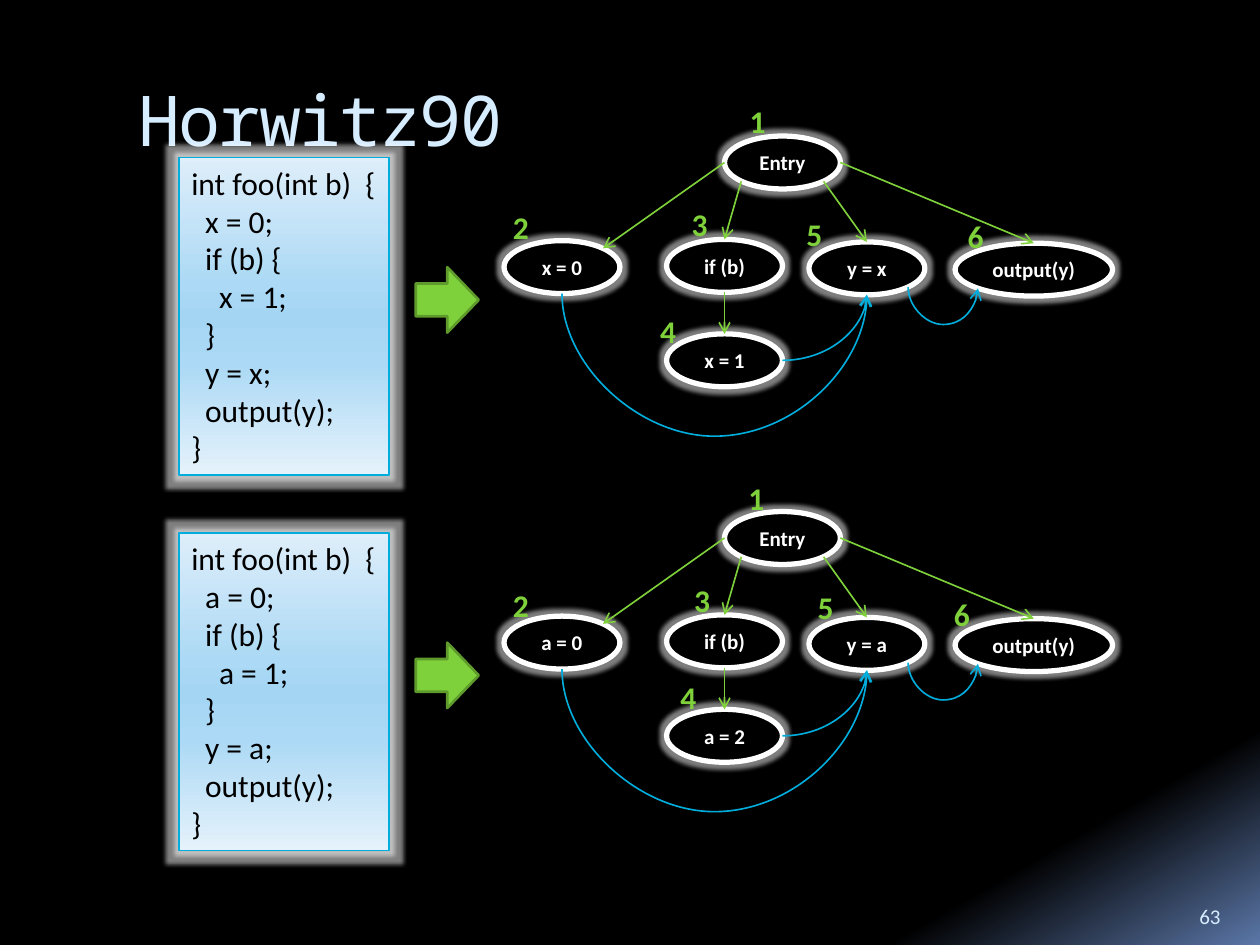
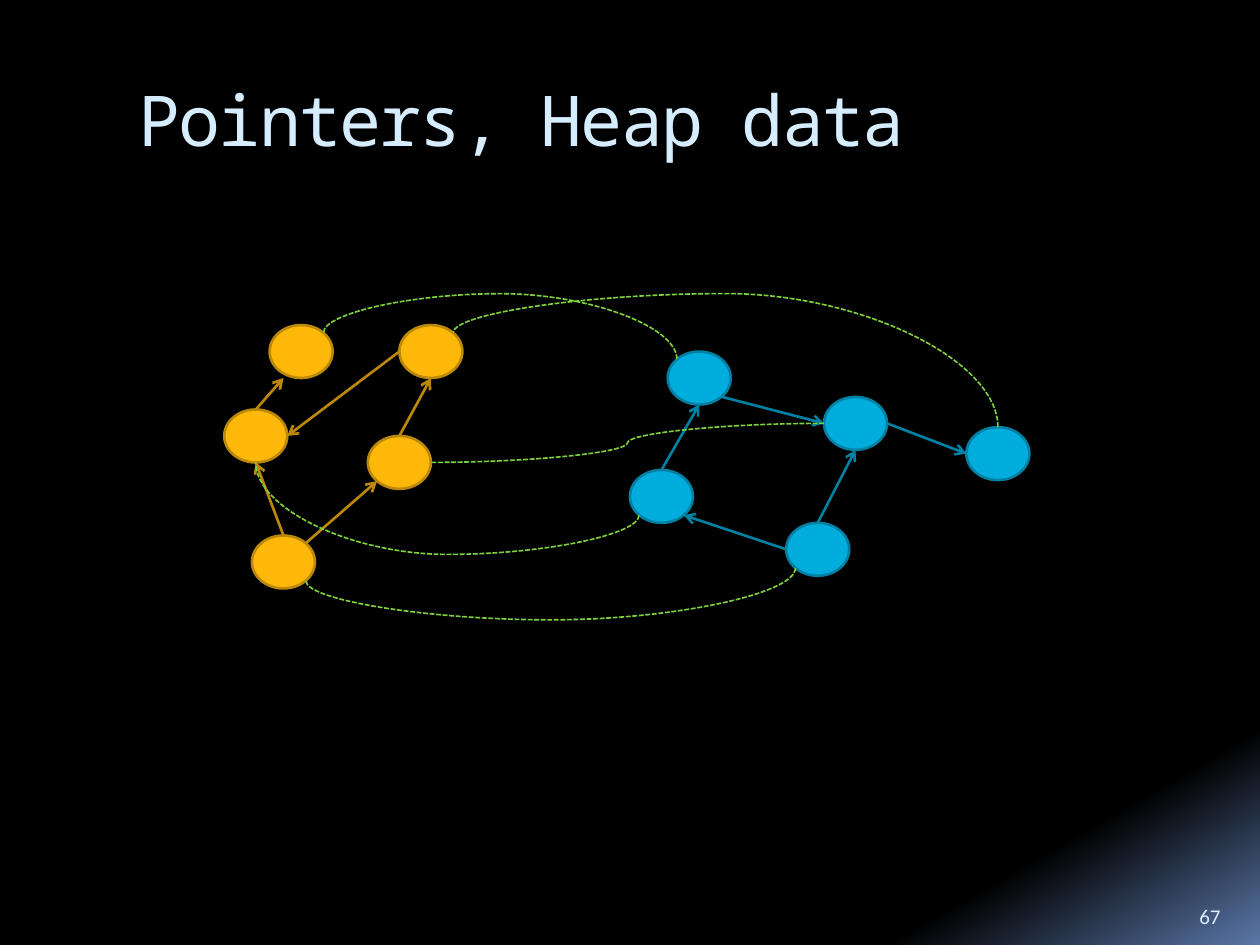
from lxml.etree import SubElement
from pptx import Presentation
from pptx.dml.color import RGBColor
from pptx.enum.dml import MSO_LINE
from pptx.enum.shapes import MSO_CONNECTOR, MSO_SHAPE
from pptx.enum.text import MSO_ANCHOR, PP_ALIGN
from pptx.oxml.ns import qn
from pptx.util import Inches, Pt

# ---------- Shared style ----------
COLORS = {
    "black": "000000", "white": "FFFFFF", "title": "D6ECFF",
    "green": "7FD13B", "dark green": "5E9B2C",
    "blue": "00ADDC", "dark blue": "0080A3",
    "orange": "FEB80A", "dark orange": "BC8807",
}
BODY_FONT, TITLE_FONT = "Calibri", "Noto Sans Mono"
BACKGROUND_STOPS = [(65, "000000"), (87, "000000"), (100, "5B77A8")]
CODE_STOPS = [(0, "DEEEFA"), (40, "ACD9F5"), (50, "A4D6F4"), (65, "ACD9F5"), (100, "E5F2FB")]
THIN, MEDIUM, THICK = 0.94, 1.5, 3

# Points on an ellipse, as shares of its half width and half height
ANCHORS = {
    "n": (0, -1), "s": (0, 1), "w": (-1, 0), "e": (1, 0),
    "nw": (-0.71, -0.71), "ne": (0.71, -0.71),
    "sw": (-0.71, 0.71), "se": (0.71, 0.71), "ssw": (-0.56, 1),
}

# ---------- Slide 1: two programs and their dependence graphs ----------
PROGRAM_PITCH = 2.98
PROGRAMS = [
    {
        "variable": "x", "node value": "1",
        "numbers": [(5.88, 0.76), (4, 1.6), (5.42, 1.58), (5.17, 2.43), (6.33, 1.66), (7.61, 1.67)],
    },
    {
        "variable": "a", "node value": "2",
        "numbers": [(5.87, 3.75), (4, 4.6), (5.44, 4.56), (5.33, 5.33), (6.42, 4.62), (7.5, 4.67)],
    },
]
CODE = [  # (indent level, text)
    (0, "int foo(int b)  {"), (1, "{v} = 0;"), (1, "if (b) {"), (2, "{v} = 1;"),
    (1, "}"), (1, "y = {v};"), (1, "output(y);"), (0, "}"),
]
STATEMENTS = {  # name: (text, left, top, width)
    "entry": ("Entry", 5.75, 1.08, 0.92),
    "first": ("{v} = 0", 4, 1.91, 0.92),
    "test": ("if (b)", 5.29, 1.9, 0.92),
    "copy": ("y = {v}", 6.42, 1.92, 0.92),
    "output": ("output(y)", 7.58, 1.93, 1.25),
    "second": ("{v} = {n}", 5.29, 2.65, 0.92),
}
CONTROL_EDGES = [
    ("entry", "w", "first", "ne"), ("entry", "sw", "test", "n"),
    ("entry", "se", "copy", "n"), ("entry", "e", "output", "n"),
    ("test", "s", "second", "n"),
]
DATA_EDGES = [  # last item: height of the turning point, None for a quarter turn
    ("first", "s", "copy", "s", 3.48),
    ("second", "e", "copy", "s", None),
    ("copy", "se", "output", "sw", 2.58),
]

# ---------- Slide 2: two heaps and the matching between them ----------
HEAPS = [
    {
        "color": "orange",
        "cells": {"root": (2, 4.25), "left": (1.78, 3.25), "middle": (2.92, 3.46),
                  "upper right": (3.17, 2.58), "upper left": (2.14, 2.58)},
        "pointers": [("root", "n", "left", "s"), ("root", "ne", "middle", "sw"),
                     ("middle", "n", "upper right", "s"), ("upper right", "w", "left", "e"),
                     ("left", "n", "upper left", "ssw")],
    },
    {
        "color": "blue",
        "cells": {"base": (6.24, 4.15), "hub": (6.54, 3.15), "low": (5, 3.73),
                  "high": (5.3, 2.79), "far": (7.67, 3.39)},
        "pointers": [("base", "n", "hub", "s"), ("base", "w", "low", "se"),
                     ("low", "n", "high", "s"), ("high", "se", "hub", "w"),
                     ("hub", "e", "far", "w")],
    },
]
MATCHES = [  # last item: height of the turning point, None for an S curve
    ("low", "sw", "left", "s", 4.4), ("hub", "w", "middle", "e", None),
    ("far", "n", "upper right", "ne", 2.33), ("upper left", "ne", "high", "nw", 2.33),
    ("base", "sw", "root", "se", 4.92),
]
CELL_WIDTH, NODE_HEIGHT = 0.5, 0.42


# ---------- Drawing helpers ----------
def rgb(name):
    return RGBColor.from_string(COLORS[name])


def set_gradient(fill, owner, stops, angle):
    fill.gradient()
    fill.gradient_angle = 360 - angle
    stop_list = owner.element.find(".//" + qn("a:gsLst"))
    for stop in list(stop_list):
        stop_list.remove(stop)
    for position, color in stops:
        stop = SubElement(stop_list, qn("a:gs"), pos=str(position * 1000))
        SubElement(stop, qn("a:srgbClr"), val=color)


def add_glow(shape, radius):
    effects = shape.element.spPr.find(qn("a:effectLst"))
    glow = SubElement(effects, qn("a:glow"), rad=str(Pt(radius)))
    color = SubElement(glow, qn("a:srgbClr"), val=COLORS["white"])
    SubElement(color, qn("a:alpha"), val="50000")


def format_text(paragraph, size, color, font=BODY_FONT, bold=False):
    for run in paragraph.runs:
        run.font.size, run.font.name, run.font.bold = Pt(size), font, bold
        run.font.color.rgb = rgb(color)


def add_text(slide, text, box, size, color, font=BODY_FONT, bold=False):
    shape = slide.shapes.add_textbox(*map(Inches, box))
    text_frame = shape.text_frame
    text_frame.word_wrap = True
    text_frame.text = text
    format_text(text_frame.paragraphs[0], size, color, font, bold)
    return text_frame


def add_shape(slide, kind, box, fill, line, width):
    shape = slide.shapes.add_shape(kind, *map(Inches, box))
    shape.shadow.inherit = False
    if fill:
        shape.fill.solid()
        shape.fill.fore_color.rgb = rgb(fill)
    shape.line.color.rgb = rgb(line)
    shape.line.width = Pt(width)
    return shape


def anchor_point(box, side):
    left, top, width, height = box
    across, down = ANCHORS[side]
    return left + width / 2 * (1 + across), top + height / 2 * (1 + down)


def add_edge(slide, boxes, edge, color, width, kind=MSO_CONNECTOR.STRAIGHT, arrow=True):
    source, source_side, target, target_side = edge
    start = anchor_point(boxes[source], source_side)
    end = anchor_point(boxes[target], target_side)
    connector = slide.shapes.add_connector(kind, *map(Inches, start + end))
    connector.line.color.rgb = rgb(color)
    connector.line.width = Pt(width)
    if arrow:
        SubElement(connector.get_or_add_ln(), qn("a:tailEnd"), type="arrow")
    SubElement(connector.element.spPr, qn("a:effectLst"))
    return connector, start, end


def bend(connector, start, end, turn_y):
    """Turn a curved connector on its side so that it swings through turn_y."""
    (x1, y1), (x2, y2) = start, end
    across, down = x2 - x1, y2 - y1
    upward = across > 0 or turn_y < y1
    connector.left = Inches((x1 + x2 - abs(down)) / 2)
    connector.top = Inches((y1 + y2 - abs(across)) / 2)
    connector.width, connector.height = Inches(abs(down)), Inches(abs(across))
    frame = connector.element.spPr.find(qn("a:xfrm"))
    frame.set("rot", str((270 if upward else 90) * 60000))
    frame.set("flipH", str(int((down > 0) == upward)))
    frame.set("flipV", str(int((across < 0) == upward)))
    geometry = connector.element.spPr.find(qn("a:prstGeom"))
    adjustments = geometry.find(qn("a:avLst"))
    share = round((turn_y - y1) / down * 100000)
    SubElement(adjustments, qn("a:gd"), name="adj1", fmla=f"val {share}")


def start_slide(presentation, title, number):
    slide = presentation.slides.add_slide(presentation.slide_layouts[6])
    heading = add_text(slide, title, (1, 0.56, 8.5, 1), 40, "title", TITLE_FONT)
    heading.paragraphs[0].runs[0]._r.get_or_add_rPr().set("spc", "-100")
    footer = add_text(slide, number, (9.42, 7.02, 0.5, 0.4), 12, "title")
    footer.vertical_anchor = MSO_ANCHOR.BOTTOM
    return slide


# ---------- Slide parts ----------
def fill_in(text, program):
    return text.replace("{v}", program["variable"]).replace("{n}", program["node value"])


def add_code(slide, program, offset):
    shape = add_shape(slide, MSO_SHAPE.RECTANGLE, (1.42, 1.25 + offset, 1.67, 2.52), None, "blue", THIN)
    set_gradient(shape.fill, shape, CODE_STOPS, 90)
    add_glow(shape, 5)
    text_frame = shape.text_frame
    text_frame.word_wrap = True
    text_frame.margin_right = 0
    text_frame.vertical_anchor = MSO_ANCHOR.TOP
    text_frame.text = "\n".join(fill_in(text, program) for _, text in CODE)
    for paragraph, (level, _) in zip(text_frame.paragraphs, CODE):
        paragraph.alignment = PP_ALIGN.LEFT
        paragraph._p.get_or_add_pPr().set("marL", str(Inches(0.11 * level)))
        format_text(paragraph, 18, "black")


def add_graph(slide, program, offset):
    boxes = {}
    for name, (text, left, top, width) in STATEMENTS.items():
        boxes[name] = (left, top + offset, width, NODE_HEIGHT)
        node = add_shape(slide, MSO_SHAPE.OVAL, boxes[name], "black", "white", THICK)
        add_glow(node, 5)
        text_frame = node.text_frame
        text_frame.margin_left = text_frame.margin_right = 0
        text_frame.vertical_anchor = MSO_ANCHOR.MIDDLE
        text_frame.text = fill_in(text, program)
        text_frame.paragraphs[0].alignment = PP_ALIGN.CENTER
        format_text(text_frame.paragraphs[0], 12, "white", bold=True)
    for edge in CONTROL_EDGES:
        add_edge(slide, boxes, edge, "green", THIN)
    for *edge, turn_y in DATA_EDGES:
        connector, start, end = add_edge(slide, boxes, edge, "blue", THIN, MSO_CONNECTOR.CURVE)
        if turn_y is None:
            connector.element.spPr.find(qn("a:prstGeom")).set("prst", "curvedConnector2")
        else:
            bend(connector, start, end, turn_y + offset)
    add_shape(slide, MSO_SHAPE.RIGHT_ARROW, (3.3, 2.12 + offset, 0.5, 0.52), "green", "dark green", MEDIUM)


def add_numbers(slide, positions):
    for number, (left, top) in enumerate(positions, start=1):
        text_frame = add_text(slide, str(number), (left, top, 0.17, 0.4), 18, "green", bold=True)
        text_frame.word_wrap = False
        text_frame.margin_left, text_frame.margin_right = Inches(0.07), 0
        text_frame.paragraphs[0].alignment = PP_ALIGN.CENTER


def build_program_slide(presentation):
    slide = start_slide(presentation, "Horwitz90", "63")
    for index, program in enumerate(PROGRAMS):
        offset = index * PROGRAM_PITCH
        add_code(slide, program, offset)
        add_graph(slide, program, offset)
    for program in PROGRAMS:
        add_numbers(slide, program["numbers"])


def build_heap_slide(presentation):
    slide = start_slide(presentation, "Pointers, Heap data", "67")
    boxes = {}
    for heap in HEAPS:
        color, outline = heap["color"], "dark " + heap["color"]
        for name, position in heap["cells"].items():
            boxes[name] = (*position, CELL_WIDTH, NODE_HEIGHT)
            add_shape(slide, MSO_SHAPE.OVAL, boxes[name], color, outline, MEDIUM)
        for pointer in heap["pointers"]:
            add_edge(slide, boxes, pointer, outline, MEDIUM)
    for *match, turn_y in MATCHES:
        connector, start, end = add_edge(slide, boxes, match, "green", THIN, MSO_CONNECTOR.CURVE, arrow=False)
        connector.line.dash_style = MSO_LINE.SQUARE_DOT
        if turn_y is not None:
            bend(connector, start, end, turn_y)


def main():
    presentation = Presentation()
    presentation.slide_width, presentation.slide_height = Inches(10), Inches(7.5)
    master = presentation.slide_master
    set_gradient(master.background.fill, master, BACKGROUND_STOPS, 60)
    build_program_slide(presentation)
    build_heap_slide(presentation)
    presentation.save("out.pptx")


if __name__ == "__main__":
    main()
